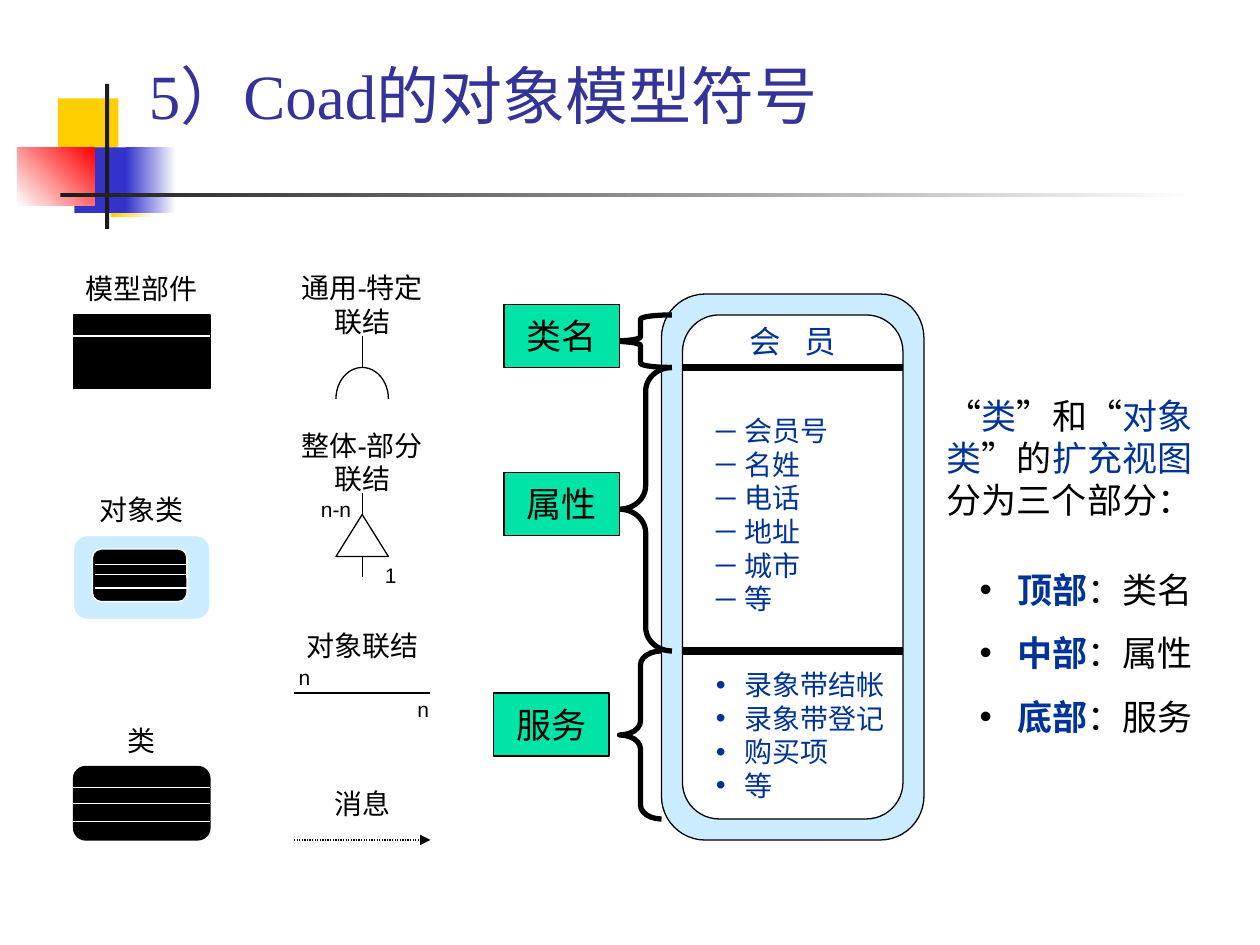
import pptx
import pptx.util
import pptx.dml.color
import pptx.enum.dml
import pptx.enum.shapes
import pptx.enum.text
import pptx.oxml
import pptx.oxml.ns
import lxml.etree

RGBColor = pptx.dml.color.RGBColor
Kind = pptx.enum.shapes.MSO_SHAPE
Align = pptx.enum.text.PP_ALIGN
Anchor = pptx.enum.text.MSO_ANCHOR

BLACK = RGBColor(0x00, 0x00, 0x00)
WHITE = RGBColor(0xFF, 0xFF, 0xFF)
CHARCOAL = RGBColor(0x1C, 0x1C, 0x1C)
YELLOW = RGBColor(0xFF, 0xCF, 0x01)
RED = RGBColor(0xFF, 0x00, 0x00)
BLUE = RGBColor(0x33, 0x33, 0xCC)
TITLE_BLUE = RGBColor(0x33, 0x33, 0x99)
NAVY = RGBColor(0x00, 0x33, 0x99)
PALE_BLUE = RGBColor(0xCC, 0xEC, 0xFF)
GREEN = RGBColor(0x00, 0xE4, 0xA8)

# The slide is a grid of 120 columns and 90 rows, twelve to the inch
COLUMNS, ROWS = 120, 90
CELL = pptx.util.Inches(10) / COLUMNS

# Left edges and width of the two columns of symbols
PARTS, LINKS, SYMBOL_WIDTH = 7, 28, 13


def grid(*cells):
    return [pptx.util.Emu(round(cell * CELL)) for cell in cells]


def add_child(parent, tag, **attributes):
    child = lxml.etree.SubElement(parent, pptx.oxml.ns.qn(tag))
    for name, value in attributes.items():
        child.set(name, str(value))
    return child


def add_shape(slide, kind, box, fill=None, line=None, width=0.75, adjust=()):
    shape = slide.shapes.add_shape(kind, *grid(*box))
    shape.shadow.inherit = False
    for index, value in enumerate(adjust):
        shape.adjustments[index] = value
    if fill is None:
        shape.fill.background()
    else:
        shape.fill.solid()
        shape.fill.fore_color.rgb = fill
    if line is None:
        shape.line.fill.background()
    else:
        shape.line.color.rgb = line
        shape.line.width = pptx.util.Pt(width)
    return shape


def add_gradient(slide, box, start, end, angle=0):
    shape = add_shape(slide, Kind.RECTANGLE, box)
    shape.fill.gradient()
    shape.fill.gradient_angle = angle
    for stop, color in zip(shape.fill.gradient_stops, (start, end)):
        stop.color.rgb = color


def add_line(slide, start, end, color=BLACK, width=0.75):
    connector = slide.shapes.add_connector(
        pptx.enum.shapes.MSO_CONNECTOR.STRAIGHT, *grid(*start, *end))
    connector.line.color.rgb = color
    connector.line.width = pptx.util.Pt(width)
    add_child(connector._element.spPr, "a:effectLst")
    return connector


def write(shape, runs, size=16, color=BLACK, font="Arial", align=Align.LEFT,
          anchor=Anchor.MIDDLE, bullet=None, bullet_color=NAVY,
          indent=0.23, hanging=0.23, space=0, spacing=0):
    """Add one paragraph; a run is (text, color, bold), or runs is plain text."""
    frame = shape.text_frame
    frame.word_wrap = True
    frame.vertical_anchor = anchor
    paragraph = frame.add_paragraph() if frame.text else frame.paragraphs[0]
    if bullet:
        properties = paragraph._p.get_or_add_pPr()
        properties.set("marL", str(pptx.util.Inches(indent)))
        properties.set("indent", str(-pptx.util.Inches(hanging)))
        add_child(add_child(properties, "a:buClr"), "a:srgbClr", val=bullet_color)
        add_child(properties, "a:buFont", typeface="Arial")
        add_child(properties, "a:buChar", char=bullet)
    paragraph.alignment = align
    if space:
        paragraph.space_before = pptx.util.Pt(space)
    for text, run_color, bold in [(runs, color, False)] if isinstance(runs, str) else runs:
        run = paragraph.add_run()
        run.text = text
        run.font.name = font
        run.font.size = pptx.util.Pt(size)
        run.font.bold = bold
        run.font.color.rgb = run_color
        if spacing:
            run._r.get_or_add_rPr().set("spc", str(spacing))


def add_text(slide, box, *paragraphs, **style):
    text_box = slide.shapes.add_textbox(*grid(*box))
    for runs in paragraphs:
        write(text_box, runs, **style)
    return text_box


def add_label(slide, column, row, *lines, width=SYMBOL_WIDTH, height=5, size=16):
    add_text(slide, (column, row, width, height), *lines, size=size, align=Align.CENTER)


def draw_title(slide):
    # Coloured squares with a cross of fading lines
    add_shape(slide, Kind.RECTANGLE, (5.52, 9.36, 5.76, 6.24), YELLOW)
    add_gradient(slide, (10.56, 14.4, 4.32, 6.24), YELLOW, WHITE)
    add_shape(slide, Kind.RECTANGLE, (7.08, 14.04, 5.52, 6.24), BLUE)
    add_gradient(slide, (12, 14.04, 4.8, 6.24), BLUE, WHITE)
    add_gradient(slide, (1.68, 14.04, 7.32, 5.52), WHITE, RED, angle=45)
    add_shape(slide, Kind.RECTANGLE, (10, 8, 0.4, 13.8), CHARCOAL)
    add_gradient(slide, (5.76, 18.36, 108, 0.44), CHARCOAL, WHITE)
    add_text(slide, (13, 3, 93, 12), "5）Coad的对象模型符号", size=36,
             color=TITLE_BLUE, font="Times New Roman")


def draw_parts(slide):
    right = PARTS + SYMBOL_WIDTH
    # Model component
    add_shape(slide, Kind.RECTANGLE, (PARTS, 30, SYMBOL_WIDTH, 7), BLACK, BLACK)
    add_line(slide, (PARTS, 32), (right, 32), WHITE)
    # Class with objects
    add_shape(slide, Kind.FLOWCHART_ALTERNATE_PROCESS, (PARTS, 51, SYMBOL_WIDTH, 8),
              PALE_BLUE, WHITE)
    add_shape(slide, Kind.ROUNDED_RECTANGLE, (8.8, 52.3, 9, 5), BLACK, WHITE)
    for row in (53.75, 54.75, 56):
        add_line(slide, (9, row), (18, row), WHITE)
    # Class
    body = add_shape(slide, Kind.ROUNDED_RECTANGLE, (PARTS, 73, SYMBOL_WIDTH, 7),
                     BLACK, BLACK)
    for row in (75, 76.5, 78.25):
        divider = add_line(slide, (PARTS, row), (right, row), WHITE)
        if row == 76.5:
            divider.begin_connect(body, 1)
            divider.end_connect(body, 3)
    for row, name in ((25, "模型部件"), (46, "对象类"), (68, "类")):
        add_label(slide, PARTS, row, name)


def draw_links(slide):
    right = LINKS + SYMBOL_WIDTH
    # General to specific: half circle
    add_shape(slide, Kind.ARC, (32, 35, 5, 6), line=BLACK, adjust=(108, 0))
    add_line(slide, (34.5, 35), (34.5, 32))
    # Whole to part: triangle
    add_shape(slide, Kind.ISOSCELES_TRIANGLE, (32, 49, 5, 4), line=BLACK)
    for row in (47, 53):
        add_line(slide, (34.5, row), (34.5, row + 2))
    # Two-line names, wider than the symbols so that each line stays whole
    for row, name in ((26, "通用-特定"), (41, "整体-部分")):
        add_label(slide, LINKS - 2, row, name, "联结", width=SYMBOL_WIDTH + 4, height=6)
    # Object link and message
    add_line(slide, (LINKS, 66), (right, 66))
    add_label(slide, LINKS, 59, "对象联结")
    message = add_line(slide, (LINKS, 80), (right, 80))
    message.line.dash_style = pptx.enum.dml.MSO_LINE.ROUND_DOT
    add_child(message.line._get_or_add_ln(), "a:tailEnd", type="triangle")
    add_label(slide, LINKS, 74, "消息")
    # Multiplicities
    for column, row, text in ((27, 46, "n-n"), (32.2, 52.3, "1"),
                              (24, 62, "n"), (35.3, 65, "n")):
        add_label(slide, column, row, text, width=10, size=12)


def draw_member_class(slide):
    add_shape(slide, Kind.ROUNDED_RECTANGLE, (63, 28, 25, 52), PALE_BLUE, BLACK)
    add_shape(slide, Kind.ROUNDED_RECTANGLE, (65, 30, 21, 48), WHITE, BLACK)
    for row in (35, 62):
        add_line(slide, (65, row), (86, row), width=4.5)
    add_text(slide, (68, 30, 15, 5), "会 员", size=18, color=NAVY,
             align=Align.CENTER, spacing=500)
    add_text(slide, (67, 38, 19, 22), "会员号", "名姓", "电话", "地址", "城市", "等",
             color=NAVY, bullet="─")
    add_text(slide, (67, 63, 19, 14), "录象带结帐", "录象带登记", "购买项", "等",
             color=NAVY, bullet="•")
    # Braces and names of the three sections
    for name, column, row, brace, bend in (
            ("属性", 48, 45, (59, 35, 5, 27), 0.45),
            ("服务", 47, 66, (59, 62, 4, 16), 0.33),
            ("类名", 48, 29, (58, 30, 6, 5), 0.08)):
        add_shape(slide, Kind.LEFT_BRACE, brace, line=BLACK, width=3, adjust=(bend, 0.5))
        tag = add_shape(slide, Kind.RECTANGLE, (column, row, 11, 6), GREEN, BLACK)
        write(tag, name, size=20, align=Align.CENTER)


def draw_explanation(slide):
    style = dict(size=20, anchor=Anchor.TOP)
    pieces = ("“", "类", "”和“", "对象类", "”的", "扩充视图", "分为三个部分：")
    runs = [(text, NAVY if index % 2 else BLACK, False) for index, text in enumerate(pieces)]
    text_box = add_text(slide, (89, 37, 29, 34), runs, **style)
    for place, section, space in (("顶部", "类名", 27), ("中部", "属性", 12.5),
                                  ("底部", "服务", 12.5)):
        write(text_box, [(place, NAVY, True), ("：" + section, BLACK, False)],
              bullet="•", bullet_color=BLACK, indent=0.56, hanging=0.3,
              space=space, **style)


def main():
    presentation = pptx.Presentation()
    presentation.slide_width, presentation.slide_height = grid(COLUMNS, ROWS)
    slide = presentation.slides.add_slide(presentation.slide_layouts[6])
    draw_title(slide)
    draw_parts(slide)
    draw_links(slide)
    draw_member_class(slide)
    draw_explanation(slide)
    presentation.save("out.pptx")


if __name__ == "__main__":
    main()
